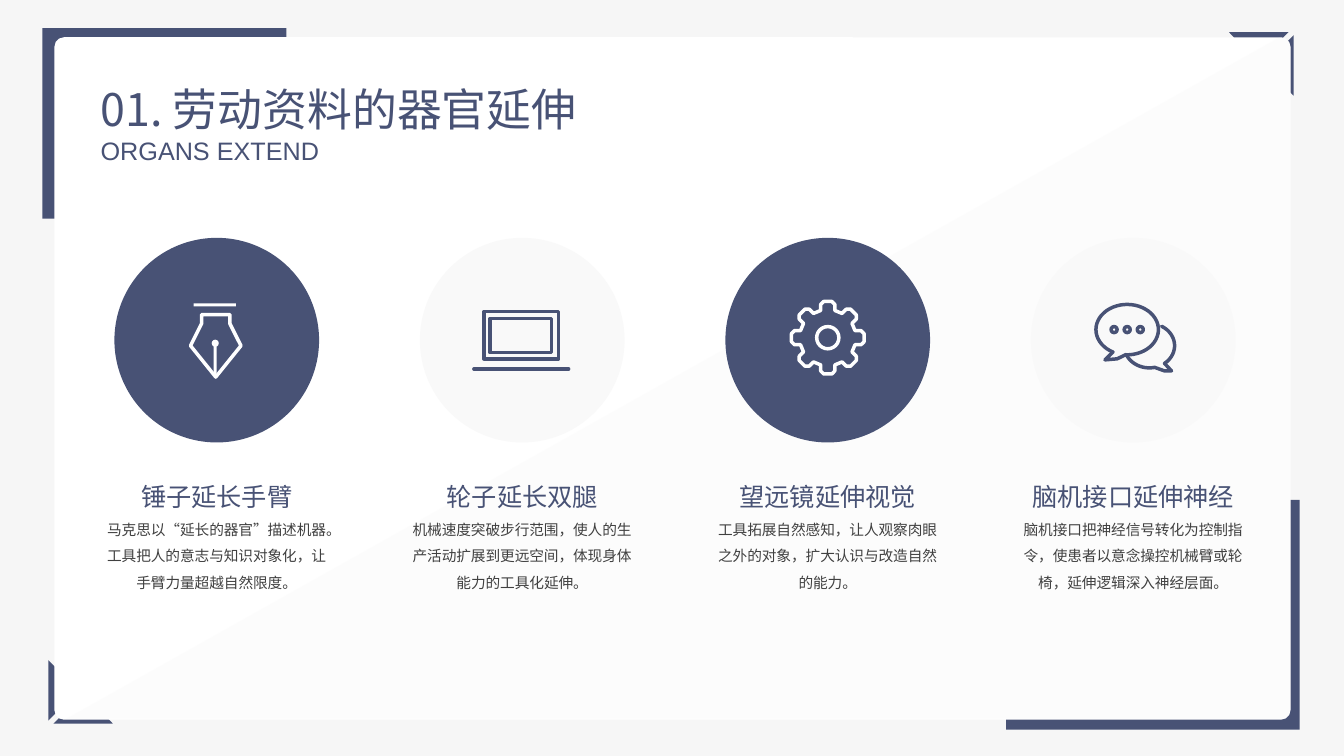
from math import cos, radians, sin

from lxml import etree
from pptx import Presentation
from pptx.dml.color import RGBColor
from pptx.enum.shapes import MSO_CONNECTOR, MSO_SHAPE
from pptx.enum.text import MSO_AUTO_SIZE, PP_ALIGN
from pptx.oxml.ns import qn
from pptx.util import Inches, Pt

RECTANGLE = MSO_SHAPE.RECTANGLE
ROUNDED = MSO_SHAPE.ROUNDED_RECTANGLE
OVAL = MSO_SHAPE.OVAL
STRAIGHT = MSO_CONNECTOR.STRAIGHT
CENTER = PP_ALIGN.CENTER
GROW = MSO_AUTO_SIZE.SHAPE_TO_FIT_TEXT

COLORS = {
    "navy": "485275",
    "white": "FFFFFF",
    "background": "F6F6F6",
    "disc": "F9F9F9",
    "shade": "F2F2F2",
    "body": "404040",
}
LATIN_FONT = "Arial"
CHINESE_FONT = "Noto Sans CJK SC"
STROKE = 2.5

FIRST_CENTER, COLUMN_STEP = 2.15, 3.03
DISC_SIZE, DISC_TOP = 2.03, 2.36
CAPTION_WIDTH, CAPTION_TOP, CAPTION_HEIGHT = 2.4, 4.58, 1.62


def rgb(name):
    return RGBColor.from_string(COLORS[name])


def paint(shape, fill=None, line=None):
    shape.shadow.inherit = False
    if fill:
        shape.fill.solid()
        shape.fill.fore_color.rgb = rgb(fill)
    else:
        shape.fill.background()
    if line:
        stroke(shape, line)
    else:
        shape.line.fill.background()


def stroke(shape, color):
    """Give a shape or connector a line with round ends and joins."""
    shape.line.color.rgb = rgb(color)
    shape.line.width = Pt(STROKE)
    line = shape.line._get_or_add_ln()
    line.set("cap", "rnd")
    etree.SubElement(line, qn("a:round"))


def add_preset(slide, kind, left, top, width, height, fill=None, line=None):
    shape = slide.shapes.add_shape(
        kind, Inches(left), Inches(top), Inches(width), Inches(height))
    paint(shape, fill, line)
    return shape


def add_ring(slide, x, y, radius, color):
    add_preset(slide, OVAL, x - radius, y - radius, 2 * radius, 2 * radius, line=color)


def add_outline(slide, contours, fill=None, line=None, close=True):
    builder = None
    for contour in contours:
        points = [(Inches(x), Inches(y)) for x, y in contour]
        if builder is None:
            builder = slide.shapes.build_freeform(*points[0])
        else:
            builder.move_to(*points[0])
        builder.add_line_segments(points[1:], close=close)
    shape = builder.convert_to_shape()
    paint(shape, fill, line)
    return shape


def arc(x, y, radius_x, radius_y, start, end, steps=48):
    """Points along an ellipse, in degrees clockwise from the right."""
    angles = [radians(start + (end - start) * i / steps) for i in range(steps + 1)]
    return [(x + radius_x * cos(a), y + radius_y * sin(a)) for a in angles]


def add_frame(slide):
    """Corner marks, white card and its shaded diagonal half."""
    add_preset(slide, RECTANGLE, 0.42, 0.28, 2.42, 1.89, "navy")
    add_preset(slide, RECTANGLE, 9.98, 4.96, 2.91, 2.28, "navy")
    corner = [
        [(0.63, 6.7), (0.63, 7), (0.48, 7.15), (0.48, 6.55)],
        [(1.12, 7.18), (0.53, 7.18), (0.68, 7.03), (0.98, 7.03)],
    ]
    opposite = [[(13.31 - x, 7.5 - y) for x, y in part] for part in corner]
    add_outline(slide, corner, "navy")
    add_outline(slide, opposite, "navy")

    card = add_preset(slide, ROUNDED, 0.54, 0.37, 12.26, 6.77, "white")
    card.adjustments[0] = 0.014
    half = ([(12.69, 0.37)] + arc(12.7, 0.47, 0.1, 0.1, -90, 0, 8)
            + arc(12.7, 7.03, 0.1, 0.1, 0, 90, 8) + [(0.66, 7.13)])
    shade = add_outline(slide, [half], "shade")
    color = shade.fill._xPr.find(qn("a:solidFill"))[0]
    etree.SubElement(color, qn("a:alpha"), val="16000")


def draw_pen(slide, color):
    add_preset(slide, RECTANGLE, 2.12, 3.38, 0.03, 0.34, color)
    add_preset(slide, OVAL, 2.1, 3.37, 0.07, 0.07, color)
    add_preset(slide, RECTANGLE, 1.92, 3.01, 0.42, 0.03, color)
    nib = [(2.14, 3.74), (1.89, 3.43), (2, 3.21), (2, 3.12),
           (2.28, 3.12), (2.28, 3.21), (2.39, 3.43)]
    add_outline(slide, [nib], line=color)


def draw_laptop(slide, color):
    add_preset(slide, RECTANGLE, 4.8, 3.09, 0.74, 0.47, line=color)
    add_preset(slide, RECTANGLE, 4.86, 3.16, 0.61, 0.34, line=color)
    base = slide.shapes.add_connector(
        STRAIGHT, Inches(4.7), Inches(3.66), Inches(5.64), Inches(3.66))
    stroke(base, color)
    etree.SubElement(base._element.spPr, qn("a:effectLst"))


def draw_gear(slide, color):
    x, y = 8.21, 3.35
    tooth = [(-0.07, -0.27), (-0.07, -0.33), (-0.04, -0.36),
             (0.04, -0.36), (0.07, -0.33), (0.07, -0.27)]
    rim = []
    for turn in range(0, 360, 45):
        c, s = cos(radians(turn)), sin(radians(turn))
        rim += [(x + u * c - v * s, y + u * s + v * c) for u, v in tooth]
    add_outline(slide, [rim], line=color)
    add_ring(slide, x, y, 0.11, color)


def draw_chat(slide, color):
    front = arc(11.18, 3.27, 0.31, 0.25, 117, 453) + [(11.08, 3.56), (10.96, 3.57)]
    add_outline(slide, [front], line=color)
    back = (arc(11.4, 3.43, 0.25, 0.22, -61, 53) + [(11.62, 3.68), (11.55, 3.68)]
            + arc(11.4, 3.43, 0.25, 0.22, 78, 157))
    add_outline(slide, [back], line=color, close=False)
    for x in (11.05, 11.18, 11.31):
        add_ring(slide, x, 3.27, 0.03, color)


def add_text(slide, left, top, width, height, text, wrap=True):
    box = slide.shapes.add_textbox(
        Inches(left), Inches(top), Inches(width), Inches(height))
    frame = box.text_frame
    frame.word_wrap = wrap
    frame.auto_size = GROW
    frame.text = text
    return frame


def style(run, size, color, font=LATIN_FONT):
    run.font.size = Pt(size)
    run.font.name = font
    run.font.color.rgb = rgb(color)
    etree.SubElement(run.font._element, qn("a:ea"), typeface=CHINESE_FONT)


def add_title(slide):
    frame = add_text(slide, 0.9, 0.76, 5.75, 0.64,
                     "01. 劳动资料的器官延伸\vORGANS EXTEND", wrap=False)
    chinese, english = frame.paragraphs[0].runs
    style(chinese, 32, "navy", CHINESE_FONT)
    style(english, 18, "navy")


def add_column(slide, center, disc, heading, body):
    add_preset(slide, OVAL, center - DISC_SIZE / 2, DISC_TOP, DISC_SIZE, DISC_SIZE, disc)
    frame = add_text(slide, center - CAPTION_WIDTH / 2, CAPTION_TOP,
                     CAPTION_WIDTH, CAPTION_HEIGHT, f"{heading}\n{body}")
    for paragraph, size, color in zip(frame.paragraphs, (18, 10.5), ("navy", "body")):
        paragraph.alignment = CENTER
        paragraph.line_spacing = 1.5
        style(paragraph.runs[0], size, color)


def main():
    presentation = Presentation()
    presentation.slide_width, presentation.slide_height = Inches(13.33), Inches(7.5)
    slide = presentation.slides.add_slide(presentation.slide_layouts[6])
    slide.background.fill.solid()
    slide.background.fill.fore_color.rgb = rgb("background")
    add_frame(slide)
    add_title(slide)
    columns = [
        ("navy", "white", draw_pen, "锤子延长手臂",
         "马克思以“延长的器官”描述机器。工具把人的意志与知识对象化，让手臂力量超越自然限度。"),
        ("disc", "navy", draw_laptop, "轮子延长双腿",
         "机械速度突破步行范围，使人的生产活动扩展到更远空间，体现身体能力的工具化延伸。"),
        ("navy", "white", draw_gear, "望远镜延伸视觉",
         "工具拓展自然感知，让人观察肉眼之外的对象，扩大认识与改造自然的能力。"),
        ("disc", "navy", draw_chat, "脑机接口延伸神经",
         "脑机接口把神经信号转化为控制指令，使患者以意念操控机械臂或轮椅，延伸逻辑深入神经层面。"),
    ]
    for index, (disc, ink, draw_icon, heading, body) in enumerate(columns):
        add_column(slide, FIRST_CENTER + index * COLUMN_STEP, disc, heading, body)
        draw_icon(slide, ink)
    presentation.save("out.pptx")


if __name__ == "__main__":
    main()
